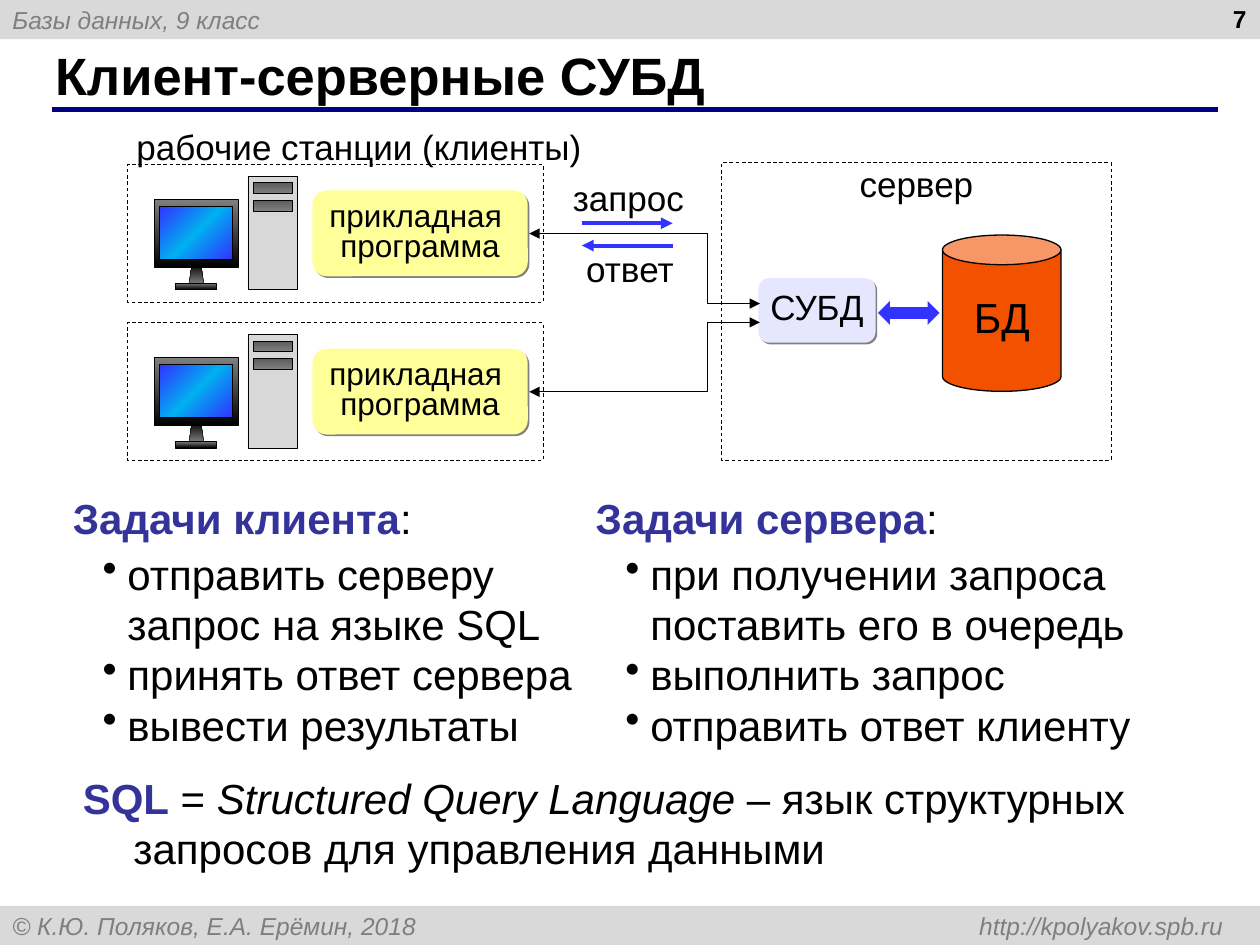
from dataclasses import dataclass
from typing import NamedTuple, Optional

import pptx
import pptx.dml.color
import pptx.enum.dml
import pptx.enum.shapes
import pptx.enum.text
import pptx.oxml
import pptx.oxml.ns
import pptx.util

Cm = pptx.util.Cm
Pt = pptx.util.Pt
Kind = pptx.enum.shapes.MSO_SHAPE
Align = pptx.enum.text.PP_ALIGN
Anchor = pptx.enum.text.MSO_ANCHOR
qn = pptx.oxml.ns.qn

BLACK, BLUE, INDIGO, GREY = "000000", "3333FF", "333399", "7F7F7F"
PADDING = (0.25, 0.13, 0.25, 0.13)
NO_PADDING = (0, 0, 0, 0)


class Span(NamedTuple):
    text: str
    color: str = BLACK
    bold: bool = False
    italic: bool = False


class Gradient(NamedTuple):
    colors: tuple
    angle: int = 90


class Part(NamedTuple):
    kind: int
    left: float
    top: float  # measured from the top of the station frame
    width: float
    height: float
    fill: object
    flip: bool = False


@dataclass
class TaskList:
    left: float
    heading: str
    tasks: tuple


CASE = Gradient((GREY, BLACK))
SLOT = Gradient(("5A5A5A", GREY))
SCREEN = Gradient((BLUE, "00B0F0", BLUE), 45)
COMPUTER = (
    Part(Kind.FLOWCHART_MANUAL_OPERATION, 3.81, 2, 0.3, 0.41, CASE, True),
    Part(Kind.RECTANGLE, 3.1, 0.7, 1.7, 1.37, CASE),
    Part(Kind.RECTANGLE, 3.22, 0.84, 1.47, 1.07, SCREEN),
    Part(Kind.RECTANGLE, 3.53, 2.39, 0.84, 0.13, CASE),
    Part(Kind.RECTANGLE, 5, 0.23, 0.99, 2.29, "D8D8D8"),
    Part(Kind.RECTANGLE, 5.1, 0.36, 0.8, 0.22, SLOT),
    Part(Kind.RECTANGLE, 5.1, 0.71, 0.8, 0.22, SLOT),
)
TASK_LISTS = (
    TaskList(1.22, "Задачи клиента", (
        "отправить серверу запрос на языке SQL", "принять ответ сервера",
        "вывести результаты")),
    TaskList(11.76, "Задачи сервера", (
        "при получении запроса поставить его в очередь", "выполнить запрос",
        "отправить ответ клиенту")),
)


def rgb(color: str):
    return pptx.dml.color.RGBColor.from_string(color)


def add_xml(parent, tag: str, inner: str = "", **attributes) -> None:
    words = "".join(f' {name}="{value}"' for name, value in attributes.items())
    space = pptx.oxml.ns.nsdecls("a")
    parent.append(pptx.oxml.parse_xml(f"<a:{tag} {space}{words}>{inner}</a:{tag}>"))


def write(shape, paragraphs, *, size: float, align=Align.LEFT, anchor=Anchor.TOP,
          padding=NO_PADDING, spacing: Optional[float] = None, hanging: float = 0,
          bullet: str = "", right_tab: float = 0) -> None:
    """Fill a shape with paragraphs, each one a list of spans."""
    frame = shape.text_frame
    frame.word_wrap = True
    frame.vertical_anchor = anchor
    (frame.margin_left, frame.margin_top,
     frame.margin_right, frame.margin_bottom) = map(Cm, padding)
    for index, spans in enumerate(paragraphs):
        para = frame.add_paragraph() if index else frame.paragraphs[0]
        para.alignment = align
        if spacing:
            para.line_spacing = spacing
        settings = para._p.get_or_add_pPr()
        if hanging:
            settings.set("marL", str(Cm(hanging)))
            settings.set("indent", str(-Cm(hanging)))
        if bullet:
            add_xml(settings, "buClr", f'<a:srgbClr val="{BLACK}"/>')
            add_xml(settings, "buChar", char=bullet)
        if right_tab:
            add_xml(settings, "tabLst", f'<a:tab pos="{Cm(right_tab)}" algn="r"/>')
        for span in spans:
            run = para.add_run()
            run.text = span.text
            run.font.name, run.font.size = "Arial", Pt(size)
            run.font.bold, run.font.italic = span.bold, span.italic
            run.font.color.rgb = rgb(span.color)


def add_text(page, area: tuple, paragraphs, **text_format) -> None:
    write(page.shapes.add_textbox(*map(Cm, area)), paragraphs, **text_format)


def paint(shape, fill) -> None:
    if fill is None:
        shape.fill.background()
    elif isinstance(fill, Gradient):
        shape.fill.gradient()
        shape.fill.gradient_angle = 360 - fill.angle
        stops = shape._element.spPr.find(".//" + qn("a:gsLst"))
        stops.clear()
        step = 100000 // (len(fill.colors) - 1)
        for index, color in enumerate(fill.colors):
            add_xml(stops, "gs", f'<a:srgbClr val="{color}"/>', pos=index * step)
    else:
        shape.fill.solid()
        shape.fill.fore_color.rgb = rgb(fill)


def add_box(page, kind, area: tuple, *, fill=None, line: float = 0,
            dashed: bool = False, shadow: bool = False):
    box = page.shapes.add_shape(kind, *map(Cm, area))
    box.shadow.inherit = False
    paint(box, fill)
    if line:
        box.line.color.rgb, box.line.width = rgb(BLACK), Pt(line)
        if dashed:
            box.line.dash_style = pptx.enum.dml.MSO_LINE.DASH
    else:
        box.line.fill.background()
    if shadow:
        add_xml(box._element.spPr.find(qn("a:effectLst")), "outerShdw",
                '<a:srgbClr val="808080"/>', dist=Pt(1.4), dir=45 * 60000)
    return box


def add_arrowheads(shape, *ends: str) -> None:
    for end in ends:
        add_xml(shape.line._get_or_add_ln(), end, type="triangle")


def add_line(page, start: tuple, end: tuple, color: str, width: float):
    line = page.shapes.add_connector(
        pptx.enum.shapes.MSO_CONNECTOR.STRAIGHT, *map(Cm, start + end))
    line.line.color.rgb, line.line.width = rgb(color), Pt(width)
    add_xml(line._element.spPr, "effectLst")
    return line


def add_link(page, client_y: float, server_y: float) -> None:
    points = [(10.67, client_y), (14.27, client_y), (14.27, server_y), (15.32, server_y)]
    start, *rest = [(Cm(x), Cm(y)) for x, y in points]
    builder = page.shapes.build_freeform(*start)
    builder.add_line_segments(rest, close=False)
    link = builder.convert_to_shape()
    link.shadow.inherit = False
    link.fill.background()
    link.line.color.rgb, link.line.width = rgb(BLACK), Pt(0.75)
    add_arrowheads(link, "headEnd", "tailEnd")


def add_station(page, top: float) -> None:
    add_box(page, Kind.RECTANGLE, (2.57, top, 8.38, 2.77), line=0.5, dashed=True)
    program = add_box(page, Kind.ROUNDED_RECTANGLE, (6.3, top + 0.52, 4.34, 1.73),
                      fill="FFFF99", shadow=True)
    write(program, [[Span("прикладная ")], [Span("программа")]], size=18,
          align=Align.CENTER, anchor=Anchor.MIDDLE, spacing=0.8)
    for part in COMPUTER:
        box = add_box(page, part.kind, (part.left, top + part.top, part.width, part.height),
                      fill=part.fill, line=0.25)
        if part.flip:
            box._element.spPr.find(qn("a:xfrm")).set("flipV", "1")


def main() -> None:
    deck = pptx.Presentation()
    deck.slide_width, deck.slide_height = Cm(25.4), Cm(19.05)
    page = deck.slides.add_slide(deck.slide_layouts[6])

    # Header, footer and title
    for top, text in ((0, "Базы данных, 9 класс"),
                      (18.26, "© К.Ю. Поляков, Е.А. Ерёмин, 2018 \thttp://kpolyakov.spb.ru")):
        bar = add_box(page, Kind.RECTANGLE, (0, top, 25.4, 0.79), fill="D9D9D9")
        write(bar, [[Span(text, GREY, italic=True)]], size=14, anchor=Anchor.MIDDLE,
              padding=PADDING, right_tab=24.41)
    add_line(page, (1.04, 2.21), (24.56, 2.21), "000080", 3)
    add_text(page, (0.86, 0.84, 23.27, 1.32), [[Span("Клиент-серверные СУБД", bold=True)]],
             size=30, anchor=Anchor.MIDDLE, padding=PADDING)
    add_text(page, (19.46, -0.05, 5.92, 1.32), [[Span("7", bold=True)]],
             size=14, align=Align.RIGHT, padding=PADDING)

    # Server
    server = add_box(page, Kind.RECTANGLE, (14.55, 3.28, 7.85, 6), line=0.5, dashed=True)
    write(server, [[Span("сервер")]], size=20, align=Align.CENTER)
    database = add_box(page, Kind.CAN, (19, 4.74, 2.39, 3.15), fill="F25100", line=0.75)
    write(database, [[Span("БД")]], size=24, align=Align.CENTER, anchor=Anchor.MIDDLE,
          padding=(0, 0, 0, 0.16))
    engine = add_box(page, Kind.ROUNDED_RECTANGLE, (15.29, 5.61, 2.36, 1.3),
                     fill="E6E6FF", shadow=True)
    write(engine, [[Span("СУБД")]], size=20, align=Align.CENTER, anchor=Anchor.MIDDLE,
          spacing=0.8)
    add_box(page, Kind.LEFT_RIGHT_ARROW, (17.7, 6.07, 1.24, 0.48), fill=BLUE)

    # Client stations and their links to the server
    for station_top, server_y in ((3.32, 6.12), (6.51, 6.5)):
        add_station(page, station_top)
        add_link(page, station_top + 1.39, server_y)
    for text, area in (("рабочие станции (клиенты)", (2.06, 2.54, 10.36, 0.69)),
                       ("запрос", (11.35, 3.56, 2.64, 0.69)),
                       ("ответ", (11.38, 4.98, 2.64, 0.66))):
        add_text(page, area, [[Span(text)]], size=20, align=Align.CENTER)
    for start, end in (((11.73, 4.5), (13.56, 4.5)), ((13.56, 4.95), (11.73, 4.95))):
        add_arrowheads(add_line(page, start, end, BLUE, 2.25), "tailEnd")

    # Tasks of each side
    for column in TASK_LISTS:
        add_text(page, (column.left, 9.8, 7.44, 1.27),
                 [[Span(column.heading, INDIGO, bold=True), Span(":")]],
                 size=24, padding=PADDING)
        add_text(page, (column.left + 0.6, 10.92, 11.05, 4.32),
                 [[Span(task)] for task in column.tasks],
                 size=24, padding=PADDING, hanging=0.5, bullet="•")

    # Definition
    add_text(page, (1.42, 15.44, 23.42, 2.29),
             [[Span("SQL", INDIGO, bold=True), Span(" = "),
               Span("Structured Query Language", italic=True),
               Span(" – язык структурных запросов для управления данными")]],
             size=24, padding=PADDING, hanging=1.02)

    deck.save("out.pptx")


if __name__ == "__main__":
    main()
